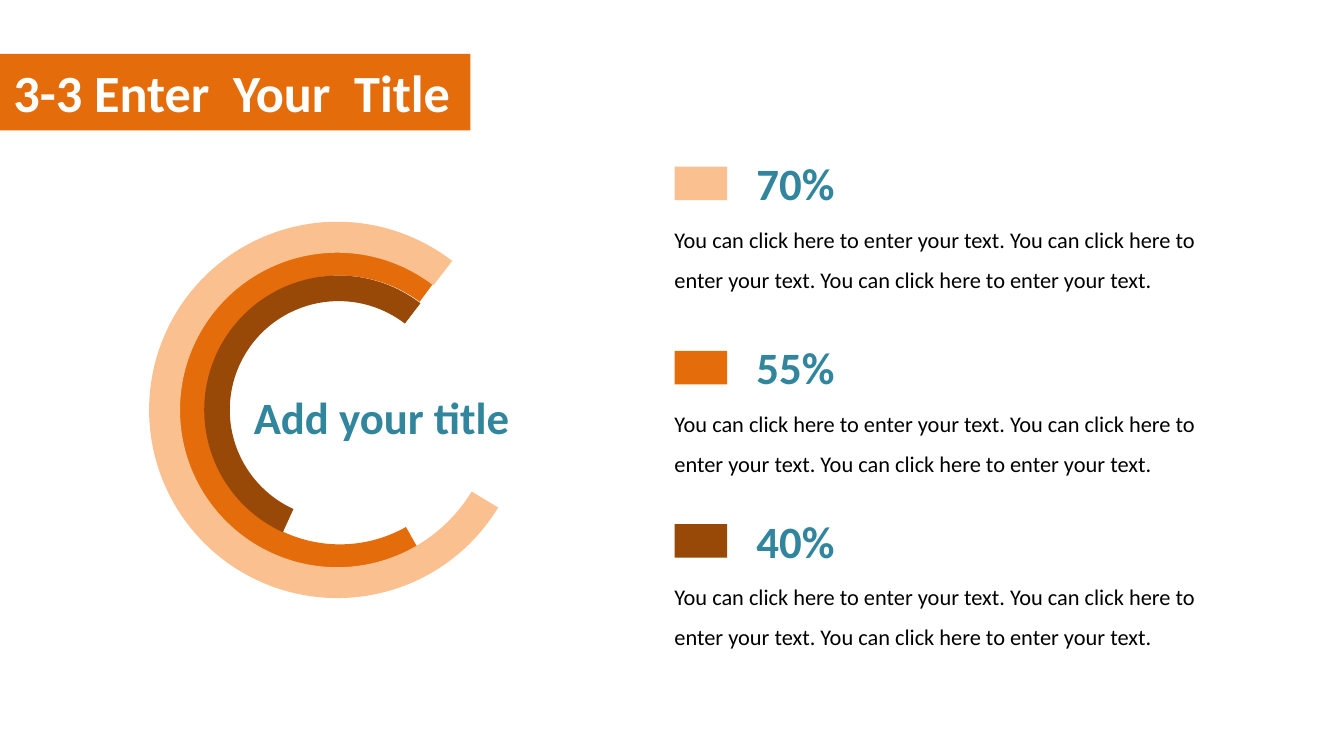
from pptx import Presentation
from pptx.dml.color import RGBColor
from pptx.enum import shapes, text
from pptx.util import Inches, Pt

PEACH, ORANGE, BROWN, TEAL = "FAC090", "E46C0A", "984807", "31859C"
DESCRIPTION = " ".join(["You can click here to enter your text."] * 3)


def paint(fill, color):
    fill.solid()
    fill.fore_color.rgb = RGBColor.from_string(color)


def write(holder, words, size, color, bold=True, spacing=1.0):
    frame = holder.text_frame
    frame.text = words
    frame.word_wrap = True
    frame.auto_size = text.MSO_AUTO_SIZE.NONE
    paragraph = frame.paragraphs[0]
    paragraph.alignment = text.PP_ALIGN.LEFT
    paragraph.line_spacing = spacing
    font = paragraph.runs[0].font
    font.name, font.size, font.bold = "Calibri", Pt(size), bold
    font.color.rgb = RGBColor.from_string(color)


prs = Presentation()
prs.slide_width = Inches(10)
prs.slide_height = prs.slide_width * 9 // 16
slide = prs.slides.add_slide(prs.slide_layouts[5])

heading = slide.shapes.title
heading.left, heading.top = Inches(0), Inches(0.4)
heading.width, heading.height = Inches(3.5), Inches(0.57)
paint(heading.fill, ORANGE)
write(heading, "3-3 Enter  Your  Title", 28, "FFFFFF")
heading.text_frame.vertical_anchor = text.MSO_ANCHOR.MIDDLE

rings = [
    (1.33, 1.85, 2.4, 0.2, 270, 90.35, 21.83, ORANGE),
    (1.52, 2.05, 2, 0.19, 273.8, 120.43, 20.21, BROWN),
    (1.11, 1.65, 2.8, 0.23, 270, 72.75, 22.59, PEACH),
]
for left, top, diameter, thickness, rotation, start, end, color in rings:
    ring = slide.shapes.add_shape(
        shapes.MSO_SHAPE.BLOCK_ARC,
        Inches(left), Inches(top), Inches(diameter), Inches(diameter))
    ring.rotation = rotation
    for index, value in enumerate((start, end, thickness / diameter)):
        ring.adjustments[index] = value
    paint(ring.fill, color)
    ring.line.fill.background()
    ring.shadow.inherit = False

ring_label = slide.shapes.add_textbox(
    Inches(1.79), Inches(2.85), Inches(2.21), Inches(0.5))
write(ring_label, "Add your title", 24, TEAL)

legend = [("70%", PEACH, 1.11), ("55%", ORANGE, 2.48), ("40%", BROWN, 3.77)]
for share, color, top in legend:
    entry = slide.shapes.add_group_shape().shapes
    swatch = entry.add_shape(
        shapes.MSO_SHAPE.RECTANGLE,
        Inches(5.02), Inches(top + 0.13), Inches(0.39), Inches(0.25))
    paint(swatch.fill, color)
    swatch.line.fill.background()
    swatch.shadow.inherit = False

    description = entry.add_textbox(
        Inches(4.92), Inches(top + 0.42), Inches(4.17), Inches(0.71))
    write(description, DESCRIPTION, 12, "000000", bold=False, spacing=1.5)

    percentage = entry.add_textbox(
        Inches(5.53), Inches(top), Inches(2.21), Inches(0.5))
    write(percentage, share, 24, TEAL)

prs.save("out.pptx")
